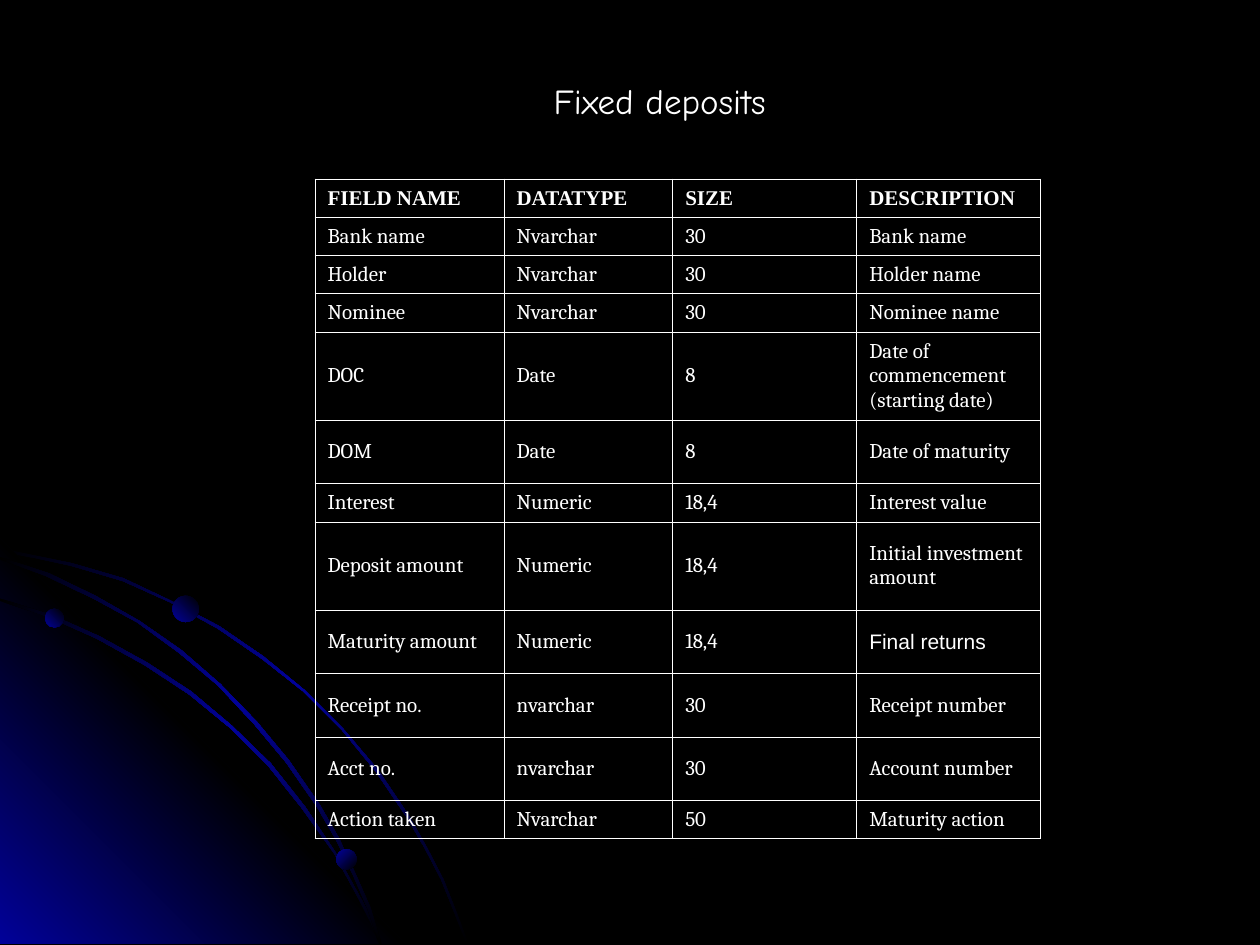
from copy import deepcopy
from dataclasses import dataclass
from typing import NamedTuple

from lxml.etree import SubElement
from pptx import Presentation
from pptx.dml.color import RGBColor as Rgb
from pptx.enum.shapes import MSO_SHAPE as Preset
from pptx.enum.text import MSO_ANCHOR as Anchor, MSO_AUTO_SIZE as AutoSize, PP_ALIGN as Align
from pptx.oxml.ns import qn
from pptx.util import Cm, Pt


@dataclass(frozen=True)
class Theme:
    black: str = "000000"
    white: str = "FFFFFF"
    blue: str = "010199"
    title_font: str = "Comic Neue"
    header_font: str = "Times New Roman"
    body_font: str = "Cambria"
    plain_font: str = "Arial"
    title_size: int = 20
    table_size: int = 12
    border: float = 0.45


THEME = Theme()
FADE = (THEME.black, THEME.blue, THEME.black)
GLOW = (THEME.blue, THEME.black, THEME.blue)
BALL = (THEME.black, THEME.blue)
RISING, FALLING = 225, 135  # gradient angles, counterclockwise
GRID = Cm(0.0254)  # unit of the outline points


class Outline(NamedTuple):
    points: list
    colours: tuple
    angle: int


class Ball(NamedTuple):
    left: float
    top: float
    size: float
    angle: int


class Field(NamedTuple):
    name: str
    datatype: str
    size: str
    description: str
    height: float


OUTLINES = [
    Outline([(57, 447), (28, 441), (0, 435), (0, 438), (28, 443), (56, 449), (97, 461),
             (135, 478), (173, 499), (208, 523), (241, 549), (271, 579), (298, 612),
             (323, 649), (337, 673), (350, 698), (360, 723), (370, 749), (372, 749),
             (362, 723), (352, 698), (339, 673), (325, 648), (300, 611), (272, 578),
             (242, 548), (209, 521), (174, 497), (136, 477), (98, 459)], FADE, FALLING),
    Outline([(322, 749), (0, 749), (0, 427)], GLOW, RISING),
    Outline([(285, 714), (294, 732), (301, 749), (303, 749), (296, 730), (286, 712),
             (266, 676), (242, 640), (215, 606), (184, 576), (152, 549), (117, 526),
             (79, 505), (41, 488), (0, 475), (0, 477), (39, 490), (77, 507), (115, 528),
             (150, 551), (183, 578), (213, 608), (240, 642), (265, 677)], FADE, FALLING),
    Outline([(0, 442), (0, 444), (36, 457), (74, 475), (109, 494), (142, 518), (173, 544),
             (202, 575), (227, 605), (252, 641), (267, 667), (280, 694), (292, 722),
             (301, 749), (303, 749), (294, 720), (282, 693), (269, 665), (254, 639),
             (229, 603), (204, 573), (175, 543), (144, 516), (111, 493), (76, 473),
             (39, 455)], FADE, FALLING),
]
BALLS = [
    Ball(0.91, 12.27, 0.38, RISING),
    Ball(6.78, 17.12, 0.41, FALLING),
    Ball(3.48, 12.01, 0.53, RISING),
]

LOW, MIDDLE, TALL = 0.77, 1.28, 1.78
HEADER = Field("FIELD NAME", "DATATYPE", "SIZE", "DESCRIPTION", LOW)
FIELDS = [
    Field("Bank name", "Nvarchar", "30", "Bank name", LOW),
    Field("Holder", "Nvarchar", "30", "Holder name", LOW),
    Field("Nominee", "Nvarchar", "30", "Nominee name", LOW),
    Field("DOC", "Date", "8", "Date of commencement (starting date)", TALL),
    Field("DOM", "Date", "8", "Date of maturity", MIDDLE),
    Field("Interest", "Numeric", "18,4", "Interest value", LOW),
    Field("Deposit amount", "Numeric", "18,4", "Initial investment amount", TALL),
    Field("Maturity amount", "Numeric", "18,4", "Final returns", MIDDLE),
    Field("Receipt no.", "nvarchar", "30", "Receipt number", MIDDLE),
    Field("Acct no.", "nvarchar", "30", "Account number", MIDDLE),
    Field("Action taken", "Nvarchar", "50", "Maturity action", LOW),
]
COLUMN_WIDTHS = (3.81, 3.4, 3.71, 3.71)
SPACED_TEXTS = {"8", "Initial investment amount", "Final returns"}
PLAIN_TEXTS = {"Final returns"}


def paint_gradient(shape, colours: tuple, angle: int) -> None:
    """Fill with evenly spaced colours and remove line and shadow."""
    shape.shadow.inherit = False
    shape.line.fill.background()
    fill = shape.fill
    fill.gradient()
    fill.gradient_angle = angle
    stop_list = next(shape.element.iter(qn("a:gsLst")))
    while len(stop_list) < len(colours):
        stop_list.append(deepcopy(stop_list[0]))
    for index, (stop, colour) in enumerate(zip(fill.gradient_stops, colours)):
        stop.position = index / (len(colours) - 1)
        stop.color.rgb = Rgb.from_string(colour)


def draw_outline(slide, outline: Outline) -> None:
    start, *rest = outline.points
    builder = slide.shapes.build_freeform(*start, scale=GRID)
    builder.add_line_segments(rest, close=True)
    paint_gradient(builder.convert_to_shape(), outline.colours, outline.angle)


def draw_ball(slide, ball: Ball) -> None:
    shape = slide.shapes.add_shape(
        Preset.OVAL, Cm(ball.left), Cm(ball.top), Cm(ball.size), Cm(ball.size))
    paint_gradient(shape, BALL, ball.angle)


def format_text(para, font: str, size: int, bold: bool = False) -> None:
    for span in para.runs:
        span.font.name = font
        span.font.size = Pt(size)
        span.font.bold = bold
        span.font.color.rgb = Rgb.from_string(THEME.white)


def place_title(slide, text: str) -> None:
    title = slide.shapes.title
    title.left, title.top, title.width, title.height = Cm(10.67), Cm(1.47), Cm(5.26), Cm(1.12)
    frame = title.text_frame
    frame.text = text
    frame.word_wrap = False
    frame.auto_size = AutoSize.SHAPE_TO_FIT_TEXT
    frame.vertical_anchor = Anchor.MIDDLE
    para = frame.paragraphs[0]
    para.alignment = Align.CENTER
    format_text(para, THEME.title_font, THEME.title_size)
    title.element.getparent().append(title.element)  # in front of the backdrop


def draw_borders(cell) -> None:
    properties = cell._tc.get_or_add_tcPr()
    for side in ("a:lnL", "a:lnR", "a:lnT", "a:lnB"):
        line = SubElement(properties, qn(side), w=str(Pt(THEME.border)))
        fill = SubElement(line, qn("a:solidFill"))
        SubElement(fill, qn("a:srgbClr"), val=THEME.white)


def fill_cell(cell, text: str, is_header: bool) -> None:
    draw_borders(cell)
    cell.fill.background()
    cell.vertical_anchor = Anchor.MIDDLE
    cell.text_frame.text = text
    para = cell.text_frame.paragraphs[0]
    if text in SPACED_TEXTS:
        para.space_before = Pt(3)
    body_font = THEME.plain_font if text in PLAIN_TEXTS else THEME.body_font
    format_text(para, THEME.header_font if is_header else body_font, THEME.table_size, is_header)


def draw_table(slide) -> None:
    records = [HEADER, *FIELDS]
    table = slide.shapes.add_table(
        len(records), len(COLUMN_WIDTHS), Cm(6.35), Cm(3.61),
        Cm(sum(COLUMN_WIDTHS)), Cm(sum(record.height for record in records))).table
    table.first_row = table.horz_banding = False
    for column, width in zip(table.columns, COLUMN_WIDTHS):
        column.width = Cm(width)
    for row, record in zip(table.rows, records):
        row.height = Cm(record.height)
        for cell, text in zip(row.cells, record[:-1]):
            fill_cell(cell, text, record is HEADER)


def main() -> None:
    deck = Presentation()
    deck.slide_width, deck.slide_height = Cm(25.4), Cm(19.05)
    slide = deck.slides.add_slide(deck.slide_layouts.get_by_name("Title Only"))
    slide.background.fill.solid()
    slide.background.fill.fore_color.rgb = Rgb.from_string(THEME.black)
    for outline in OUTLINES:
        draw_outline(slide, outline)
    for ball in BALLS:
        draw_ball(slide, ball)
    place_title(slide, "Fixed deposits")
    draw_table(slide)
    deck.save("out.pptx")


if __name__ == "__main__":
    main()
